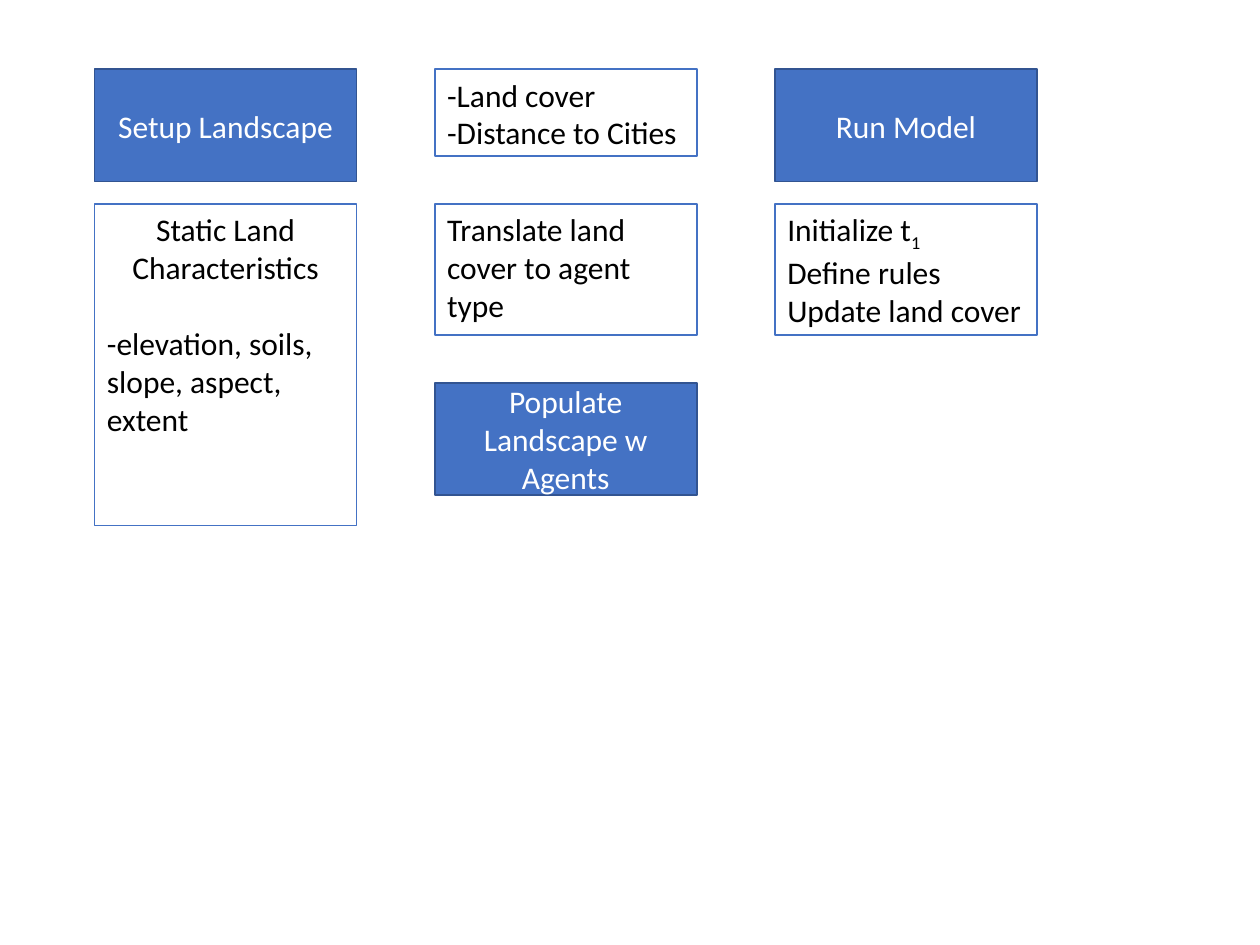
from pptx import Presentation
from pptx.dml.color import RGBColor
from pptx.enum.shapes import MSO_SHAPE
from pptx.enum.text import MSO_ANCHOR, PP_ALIGN
from pptx.util import Inches, Pt

BLUE = RGBColor(0x44, 0x72, 0xC4)
DARK_BLUE = RGBColor(0x32, 0x54, 0x91)
WHITE = RGBColor(0xFF, 0xFF, 0xFF)
BLACK = RGBColor(0x00, 0x00, 0x00)

# Three equal columns and two main rows
SETUP_X, AGENTS_X, MODEL_X = (0.75 + 2.7 * i for i in range(3))
TOP_Y, DETAIL_Y = 0.55, 1.62
BOX_WIDTH, STEP_HEIGHT = 2.08, 0.89


def add_box(slide, x, y, height, fill, line, anchor):
    box = slide.shapes.add_shape(MSO_SHAPE.RECTANGLE, Inches(x), Inches(y),
                                 Inches(BOX_WIDTH), Inches(height))
    box.shadow.inherit = False
    box.fill.solid()
    box.fill.fore_color.rgb = fill
    box.line.color.rgb = line
    box.line.width = Pt(1)
    box.text_frame.word_wrap = True
    box.text_frame.vertical_anchor = anchor
    return box.text_frame


def add_run(paragraph, text, color):
    run = paragraph.add_run()
    run.text = text
    run.font.name = "Calibri"
    run.font.size = Pt(18)
    run.font.color.rgb = color
    return run


def add_step(slide, x, y, text):
    frame = add_box(slide, x, y, STEP_HEIGHT, BLUE, DARK_BLUE, MSO_ANCHOR.MIDDLE)
    frame.paragraphs[0].alignment = PP_ALIGN.CENTER
    add_run(frame.paragraphs[0], text, WHITE)


def add_details(slide, x, y, height, lines):
    frame = add_box(slide, x, y, height, WHITE, BLUE, MSO_ANCHOR.TOP)
    for i, text in enumerate(lines):
        paragraph = frame.add_paragraph() if i else frame.paragraphs[0]
        paragraph.alignment = PP_ALIGN.LEFT
        add_run(paragraph, text, BLACK)
    return frame.paragraphs


def add_subscript(paragraph, text):
    run = add_run(paragraph, text, BLACK)
    run.font._element.set("baseline", "-25000")


def main():
    prs = Presentation()
    prs.slide_width, prs.slide_height = Inches(10), Inches(7.5)
    slide = prs.slides.add_slide(prs.slide_layouts[6])

    # Landscape setup
    add_step(slide, SETUP_X, TOP_Y, "Setup Landscape")
    heading, examples = add_details(
        slide, SETUP_X, DETAIL_Y, 2.55,
        ["Static Land Characteristics", "-elevation, soils, slope, aspect, extent"])
    heading.alignment = PP_ALIGN.CENTER
    examples.space_before = Pt(22)

    # Agents
    add_step(slide, AGENTS_X, 3.04, "Populate Landscape w Agents")
    add_details(slide, AGENTS_X, TOP_Y, 0.69, ["-Land cover", "-Distance to Cities"])
    add_details(slide, AGENTS_X, DETAIL_Y, 1.04, ["Translate land cover to agent type"])

    # Model run
    add_step(slide, MODEL_X, TOP_Y, "Run Model")
    model_lines = add_details(slide, MODEL_X, DETAIL_Y, 1.04,
                              ["Initialize t", "Define rules", "Update land cover"])
    add_subscript(model_lines[0], "1")

    prs.save("out.pptx")


main()
